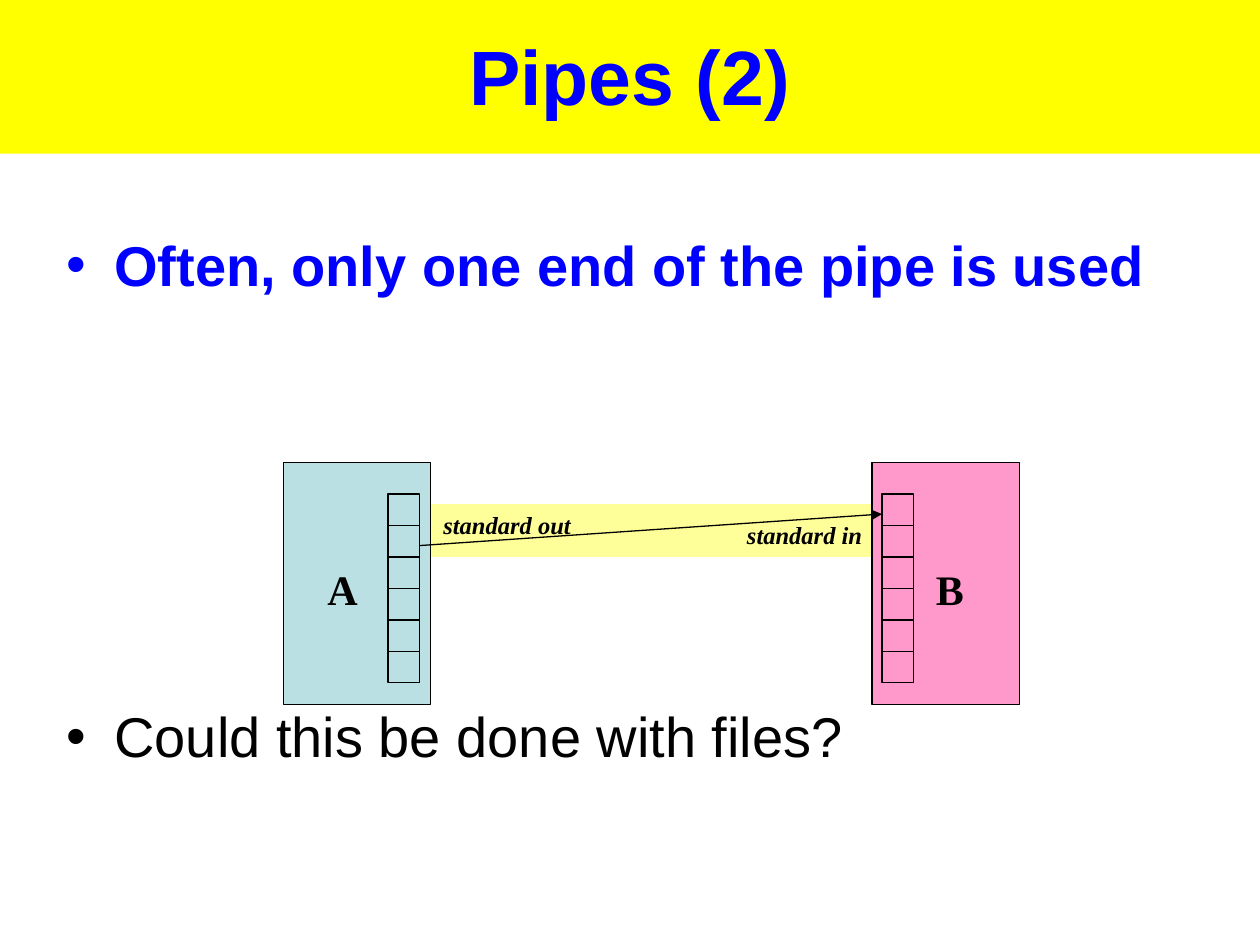
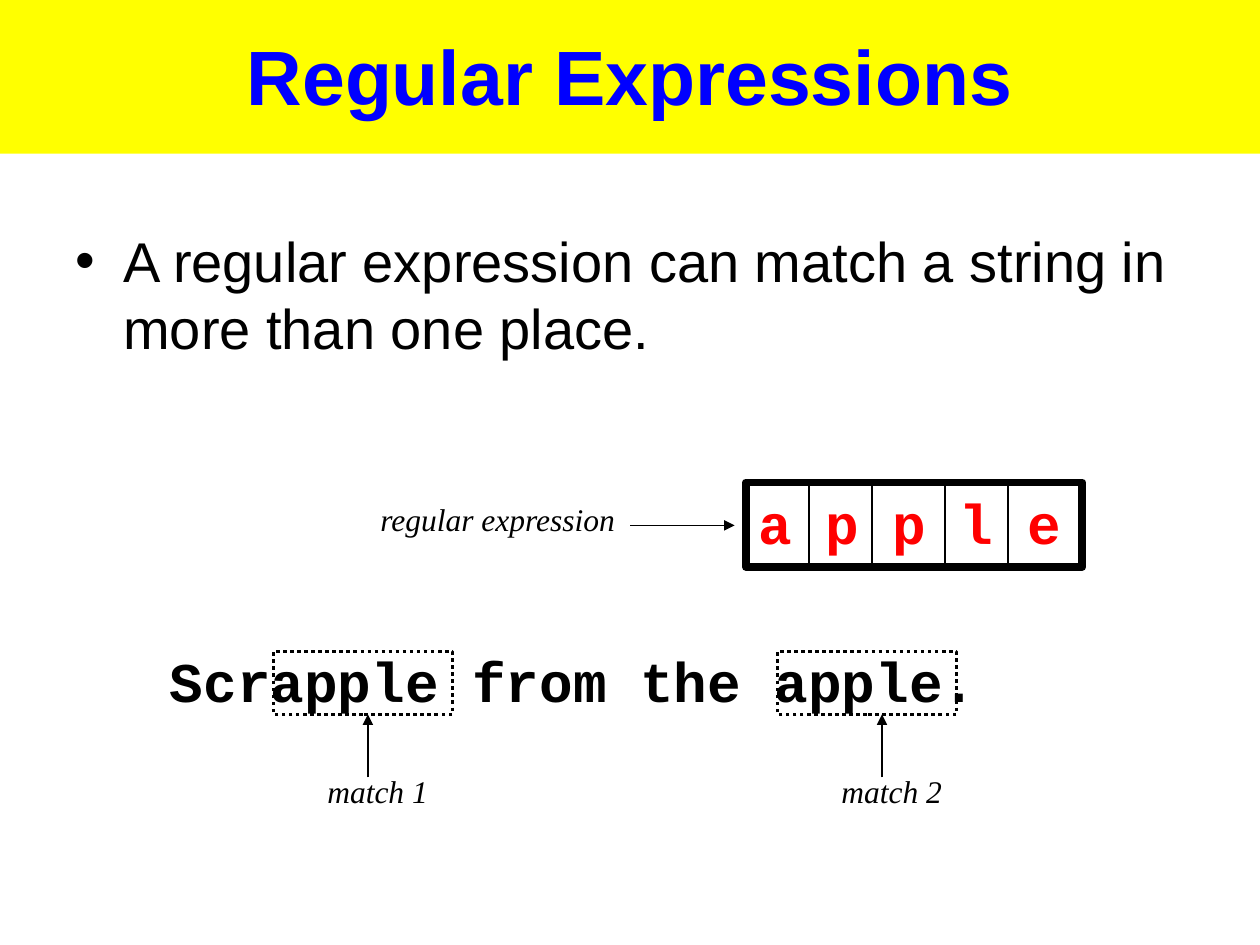
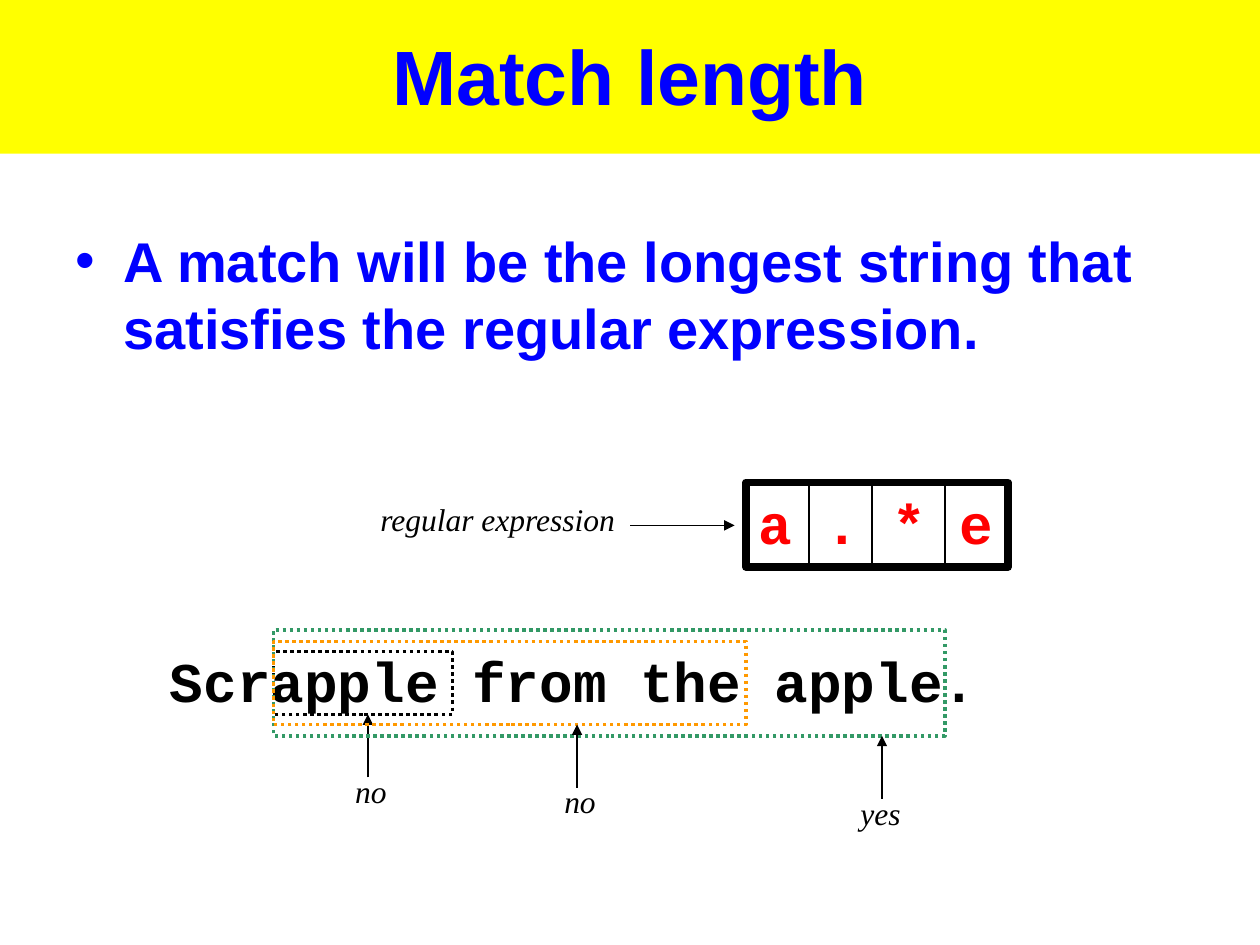
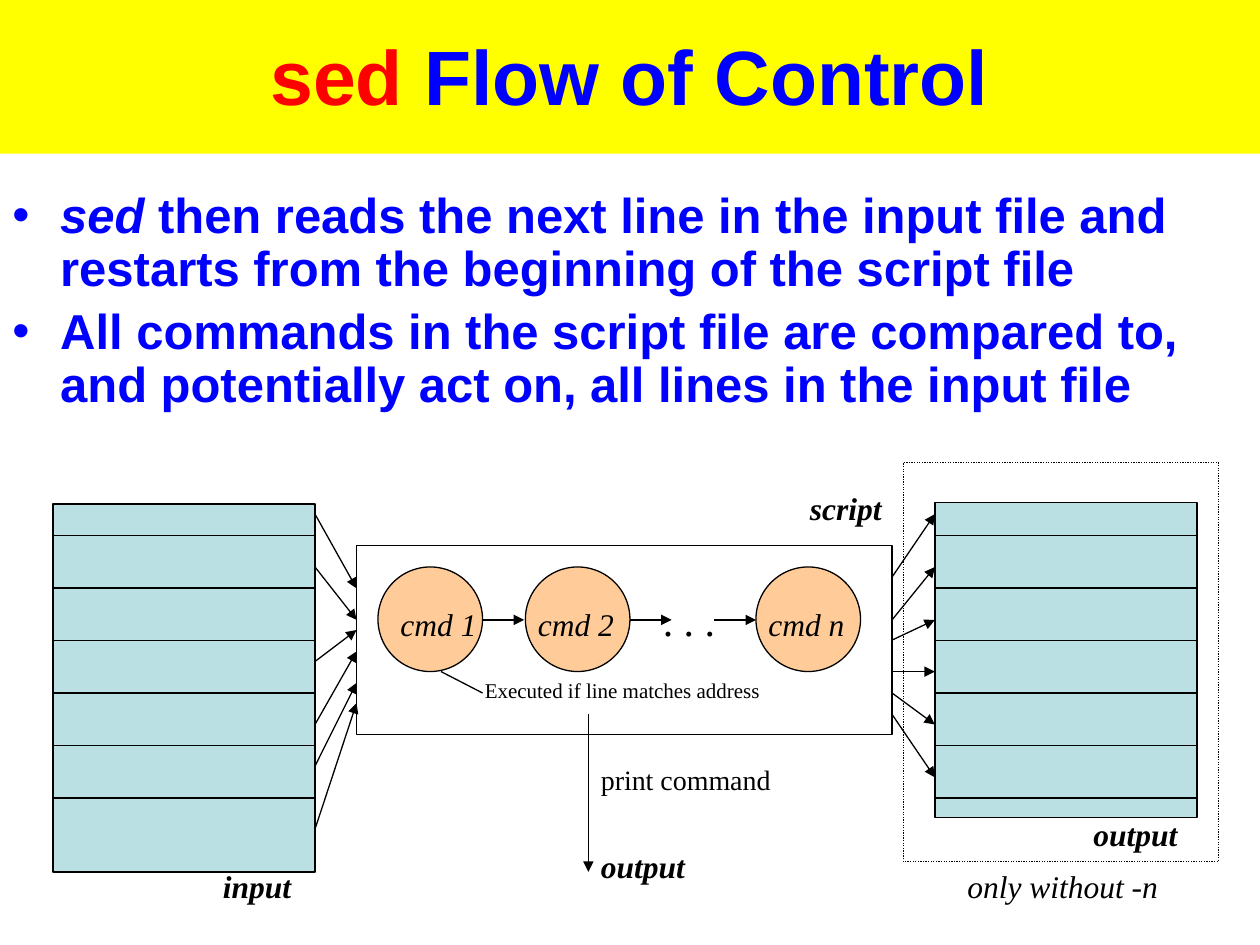
import pptx
import pptx.util
import pptx.dml.color
import pptx.enum.dml
import pptx.enum.shapes
import pptx.enum.text
import pptx.oxml.ns
from lxml import etree

Inches = pptx.util.Inches
Pt = pptx.util.Pt
qn = pptx.oxml.ns.qn
SHAPE = pptx.enum.shapes.MSO_SHAPE
FIT = pptx.enum.text.MSO_AUTO_SIZE

COLORS = {
    "black": "000000", "white": "FFFFFF", "blue": "0000FF", "red": "FF0000",
    "yellow": "FFFF00", "pale": "FFFF99", "teal": "BBE0E3", "pink": "FF99CC",
    "peach": "FFCC99", "green": "339966", "orange": "FF9900",
}
SANS, SERIF, MONO = "Arial", "Times New Roman", "Courier New"
STEP = 5 / 12  # height of one file row


def color(name):
    return pptx.dml.color.RGBColor.from_string(COLORS[name])


class Deck:
    def __init__(self):
        self.prs = pptx.Presentation()
        self.prs.slide_width = Inches(10)
        self.prs.slide_height = Inches(7.5)
        self.slide = None
        self.pen = None  # shapes that new elements join

    def style(self, font, face, size, tint, bold=False, italic=False):
        font.name = face
        font.size = Pt(size)
        font.bold = bold
        font.italic = italic
        font.color.rgb = color(tint)

    def start(self, text, lead=""):
        """New slide with a title band; lead is a red first part."""
        self.slide = self.prs.slides.add_slide(self.prs.slide_layouts[5])
        self.pen = self.slide.shapes
        title = self.pen.title
        title.left, title.top = Inches(0), Inches(-0.03)
        title.width, title.height = Inches(10), Inches(1.25)
        title.fill.solid()
        title.fill.fore_color.rgb = color("yellow")
        frame = title.text_frame
        frame.auto_size = FIT.NONE
        frame.vertical_anchor = pptx.enum.text.MSO_ANCHOR.MIDDLE
        para = frame.paragraphs[0]
        para.alignment = pptx.enum.text.PP_ALIGN.CENTER
        self.style(para.font, SANS, 44, "blue", True)
        if lead:
            run = para.add_run()
            run.text = lead
            run.font.color.rgb = color("red")
        para.add_run().text = text

    def frame(self, x, y, w, h, wrap=True, fit=FIT.NONE):
        box = self.pen.add_textbox(Inches(x), Inches(y), Inches(w), Inches(h))
        box.text_frame.word_wrap = wrap
        box.text_frame.auto_size = fit
        return box.text_frame

    def body(self, x, y, w, h, items, size=32, gap=0, lead="", space=1):
        """Bulleted list; items are (text, tint, bold), lead is italic."""
        frame = self.frame(x, y, w, h)
        for i, (text, tint, bold) in enumerate(items):
            para = frame.add_paragraph() if i else frame.paragraphs[0]
            props = para._p.get_or_add_pPr()
            props.set("marL", str(Inches(0.38)))
            props.set("indent", str(Inches(-0.38)))
            etree.SubElement(props, qn("a:buFont"), typeface=SANS)
            etree.SubElement(props, qn("a:buChar"), char="•")
            self.style(para.font, SANS, size, tint, bold)
            para.line_spacing = space
            if i:
                para.space_before = Pt(gap)
            elif lead:
                run = para.add_run()
                run.text = lead
                run.font.italic = True
            para.add_run().text = text

    def label(self, x, y, w, text, size=18, face=SERIF, tint="black",
              bold=False, italic=True, wrap=True):
        high = 0.1 + size / 60
        frame = self.frame(x, y, w, high, wrap, FIT.SHAPE_TO_FIT_TEXT)
        para = frame.paragraphs[0]
        para.text = text
        self.style(para.font, face, size, tint, bold, italic)

    def shape(self, x, y, w, h, fill=None, line="black", width=0.75,
              dots=False, kind=SHAPE.RECTANGLE):
        item = self.pen.add_shape(
            kind, Inches(x), Inches(y), Inches(w), Inches(h))
        item.shadow.inherit = False
        if fill:
            item.fill.solid()
            item.fill.fore_color.rgb = color(fill)
        else:
            item.fill.background()
        if line:
            item.line.color.rgb = color(line)
            item.line.width = Pt(width)
        else:
            item.line.fill.background()
        if dots:
            item.line.dash_style = pptx.enum.dml.MSO_LINE.ROUND_DOT

    def line(self, x1, y1, x2, y2, arrow=False):
        item = self.pen.add_connector(
            pptx.enum.shapes.MSO_CONNECTOR.STRAIGHT,
            Inches(x1), Inches(y1), Inches(x2), Inches(y2))
        item.line.color.rgb = color("black")
        item.line.width = Pt(0.75)
        props = item.element.spPr
        if arrow:
            etree.SubElement(
                props.find(qn("a:ln")), qn("a:tailEnd"), type="triangle")
        etree.SubElement(props, qn("a:effectLst"))

    def slots(self, x):
        """Grouped column of six file slots."""
        self.pen = self.slide.shapes.add_group_shape().shapes
        self.shape(x, 3.92, 0.25, 1.5)
        for i in range(1, 6):
            y = 3.92 + i * 0.25
            self.line(x, y, x + 0.25, y)
        self.pen = self.slide.shapes

    def regex(self, text, w):
        """Pattern in cells above the sample sentence."""
        self.label(1.25, 5.08, 6.75, "Scrapple from the apple.", 32, MONO,
                   bold=True, italic=False)
        self.label(2.92, 3.92, 2.08, "regular expression", wrap=False)
        self.line(5, 4.17, 5.83, 4.17, True)
        self.shape(5.92, 3.83, w, 0.67, width=4.5)
        self.label(5.92, 3.83, w + 0.08, text, 32, MONO, "red", True, False)
        for x in (6.42, 6.92, 7.5, 8):
            self.line(x, 3.83, x, 4.5)

    def match(self, x, w, rise, tip, note, left, wide, tint="black"):
        """Dotted frame, grown by rise up and down, with a noted arrow."""
        self.shape(x, 5.17 - rise, w, 0.5 + 2 * rise, None, tint, 2, True)
        low = 5.67 + rise
        self.line(tip, low + 0.5, tip, low, True)
        self.label(left, low + 0.41, wide, note, wrap=False)

    def file(self, x, y, h):
        """Box ruled into lines."""
        self.shape(x, y, 2.08, h, "teal")
        for i in range(6):
            row = 4.25 + i * STEP
            self.line(x, row, x + 2.08, row)


def pipes(deck):
    deck.start("Pipes (2)")
    deck.body(0.43, 1.78, 9.37, 5.22, [
        ("Often, only one end of the pipe is used", "blue", True),
        ("Could this be done with files?", "black", False)], gap=231)
    deck.shape(3.42, 4, 3.5, 0.42, "pale", None)
    # Processes
    for name, x, left, slot, fill in (("A", 2.25, 2.5, 3.08, "teal"),
                                      ("B", 6.92, 7.33, 7, "pink")):
        deck.shape(x, 3.67, 1.17, 1.92, fill)
        deck.label(left, 4.42, 1.08, name, 24, bold=True, italic=False)
        deck.slots(slot)
    # Pipe
    deck.line(3.33, 4.33, 7, 4.08, True)
    deck.label(3.42, 4, 1.25, "standard out", 14, bold=True)
    deck.label(5.83, 4.08, 1.25, "standard in", 14, bold=True)


def places(deck):
    deck.start("Regular Expressions")
    deck.body(0.5, 1.75, 9, 1.28, [
        ("A regular expression can match a string in more than one place.",
         "black", False)])
    deck.regex("a p p l e", 2.67)
    deck.match(2.17, 1.42, 0, 2.92, "match 1", 2.5, 1)
    deck.match(6.17, 1.42, 0, 7, "match 2", 6.58, 1)


def length(deck):
    deck.start("Match length")
    deck.body(0.5, 1.75, 9, 4.95, [
        ("A match will be the longest string that satisfies the regular "
         "expression.", "blue", True)])
    deck.regex("a . * e", 2.08)
    deck.match(2.17, 1.42, 0, 2.92, "no", 2.72, 0.45)
    deck.match(2.17, 5.33, 0.17, 7, "yes", 6.73, 0.52, "green")
    deck.match(2.17, 3.75, 0.08, 4.58, "no", 4.38, 0.45, "orange")


def flow(deck):
    deck.start(" Flow of Control", "sed")
    deck.body(0, 1.47, 10, 1.92, [
        (" then reads the next line in the input file and restarts from the "
         "beginning of the script file", "blue", True),
        ("All commands in the script file are compared to, and potentially "
         "act on, all lines in the input file", "blue", True)],
        28, 5.6, "sed", 0.9)
    # Files and script
    deck.file(0.42, 4, 2.92)
    deck.file(7.42, 3.99, 2.5)
    deck.shape(2.83, 4.33, 4.25, 1.5)
    for x, left, name in ((3, 3.08, "cmd 1"), (4.17, 4.17, "cmd 2"),
                          (6, 6, "cmd n")):
        deck.shape(x, 4.5, 0.83, 0.83, "peach", kind=SHAPE.OVAL)
        deck.label(left, 4.75, 0.92, name)
    deck.label(5.17, 4.67, 0.67, ". . .", 24)
    for x in (3.83, 5, 5.67):
        deck.line(x, 4.92, x + 0.33, 4.92, True)
    # Lines in and out
    for y1, y2 in ((4.08, 4.67), (4.5, 4.92), (5.25, 5),
                   (5.75, 5.17), (6.08, 5.42), (6.58, 5.58)):
        deck.line(2.5, y1, 2.83, y2, True)
    for y1, y2 in ((4.58, 4.08), (4.92, 4.5), (5.08, 4.92),
                   (5.33, 5.33), (5.5, 5.75), (5.67, 6.17)):
        deck.line(7.08, y1, 7.42, y2, True)
    deck.line(4.67, 5.67, 4.67, 6.92, True)
    deck.line(3.5, 5.33, 3.83, 5.5)
    # Labels
    for x, y, text in ((6.33, 3.83, "script"), (1.67, 6.83, "input"),
                       (8.58, 6.42, "output"), (4.67, 6.67, "output")):
        deck.label(x, y, 0.92, text, bold=True)
    deck.shape(7.17, 3.67, 2.5, 3.17, dots=True)
    deck.label(7.58, 6.83, 2.17, "only without -n")
    deck.label(4.67, 6, 1.75, "print command", 16, italic=False)
    deck.label(3.75, 5.33, 2.83, "Executed if line matches address", 12,
               italic=False)


def main():
    deck = Deck()
    for build in (pipes, places, length, flow):
        build(deck)
    deck.prs.save("out.pptx")


if __name__ == "__main__":
    main()
